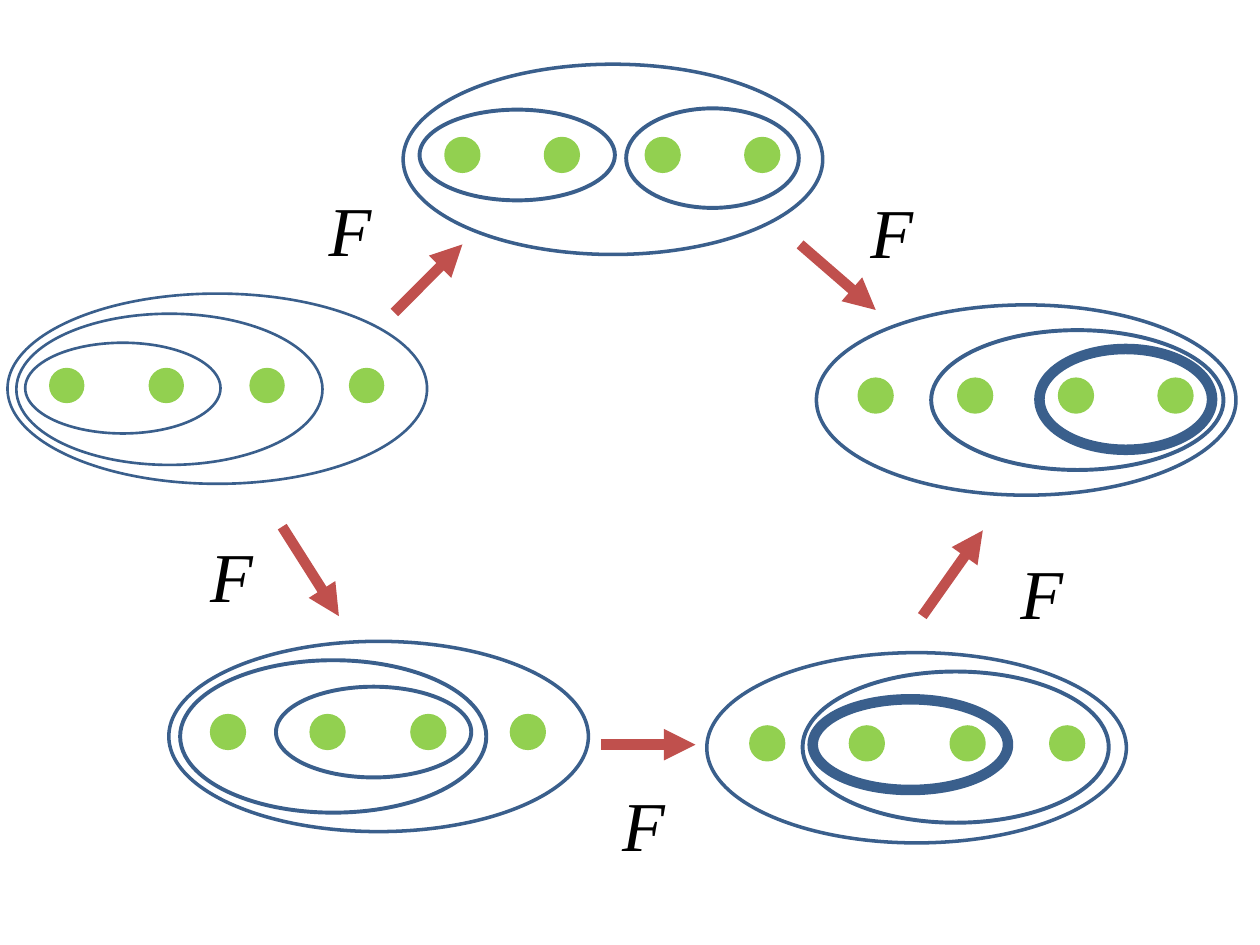
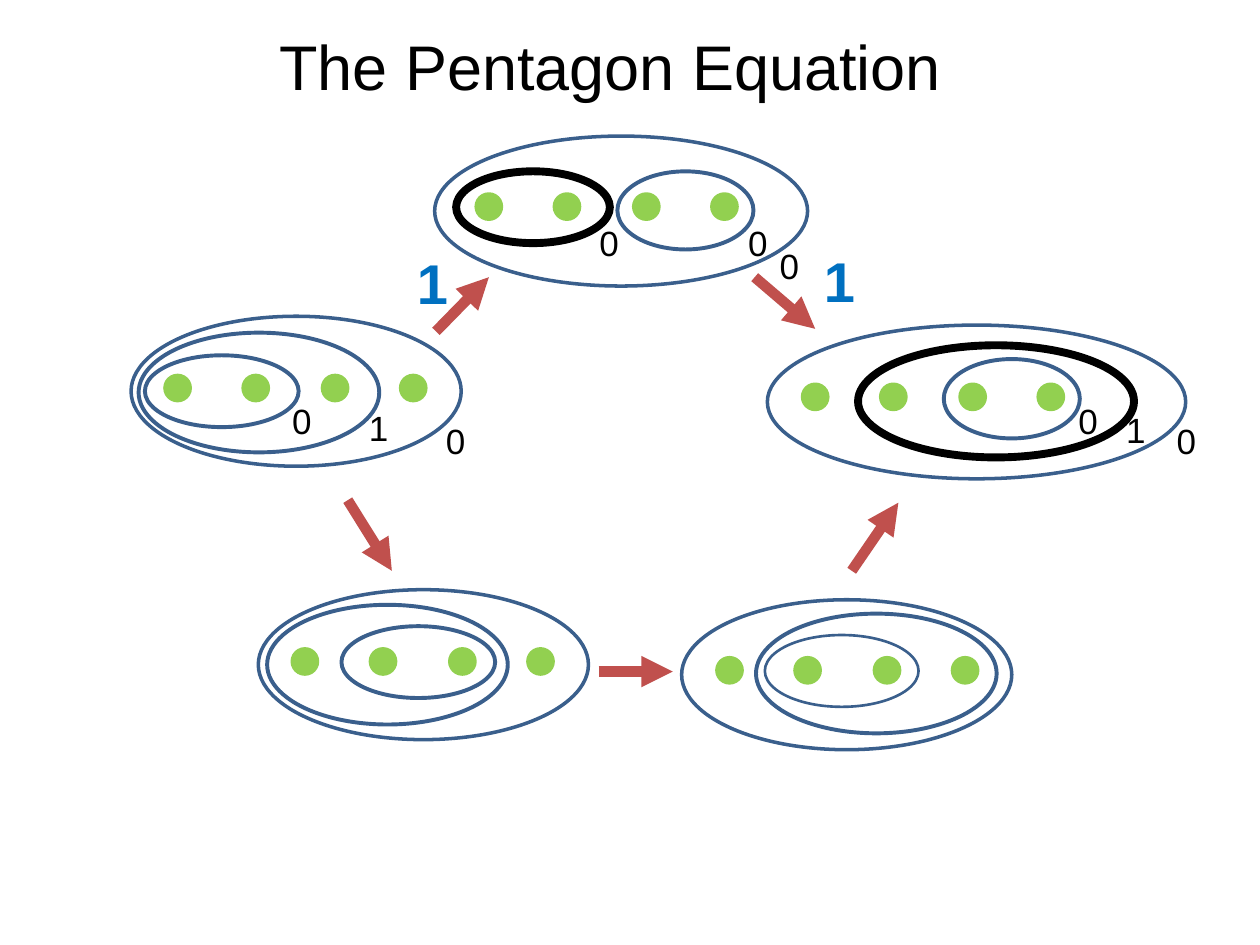
from dataclasses import dataclass

from lxml.etree import SubElement
from pptx import Presentation
from pptx.dml.color import RGBColor
from pptx.enum.shapes import MSO_CONNECTOR, MSO_SHAPE
from pptx.enum.text import MSO_AUTO_SIZE
from pptx.oxml.ns import qn
from pptx.util import Emu, Pt

PX_PER_INCH = 100
RING_BLUE = RGBColor(0x3A, 0x5F, 0x8C)
DOT_GREEN = RGBColor(0x92, 0xD0, 0x50)
ARROW_RED = RGBColor(0xC0, 0x50, 0x4D)
MOVE_BLUE = RGBColor(0x00, 0x70, 0xC0)
BLACK = RGBColor(0x00, 0x00, 0x00)
SANS, SERIF = "Arial", "Times New Roman"
DOTS_PER_TREE = 4


@dataclass
class Ring:
    left: int
    top: int
    width: int
    height: int
    weight: float = 2.25
    color: RGBColor = RING_BLUE


@dataclass
class Tree:
    box: tuple
    first_dot: tuple
    rings: list
    charges: tuple = ()
    weight: float = 2


@dataclass
class DotStyle:
    size: int
    span: int


def px(length):
    return Emu(round(length * 914400 / PX_PER_INCH))


def add_ellipse(shapes, box, weight, line_color, fill_color=None):
    ellipse = shapes.add_shape(MSO_SHAPE.OVAL, *map(px, box))
    ellipse.shadow.inherit = False
    if fill_color is None:
        ellipse.fill.background()
    else:
        ellipse.fill.solid()
        ellipse.fill.fore_color.rgb = fill_color
    ellipse.line.color.rgb = line_color
    ellipse.line.width = Pt(weight)


def add_label(slide, box, text, size, font=SANS, color=BLACK, bold=False, italic=False):
    frame = slide.shapes.add_textbox(*map(px, box)).text_frame
    frame.word_wrap = False
    frame.auto_size = MSO_AUTO_SIZE.SHAPE_TO_FIT_TEXT
    run = frame.paragraphs[0].add_run()
    run.text = text
    run.font.name = font
    run.font.size = Pt(size)
    run.font.color.rgb = color
    run.font.bold = bold
    run.font.italic = italic


def add_arrow(slide, start, end):
    arrow = slide.shapes.add_connector(MSO_CONNECTOR.STRAIGHT, *map(px, start + end))
    arrow.line.color.rgb = ARROW_RED
    arrow.line.width = Pt(6)
    SubElement(arrow.line._get_or_add_ln(), qn("a:tailEnd"), type="triangle")
    SubElement(arrow._element.spPr, qn("a:effectLst"))


def draw_tree(slide, tree, dots):
    left, top, _, _ = tree.box
    shapes = slide.shapes.add_group_shape().shapes
    dot_x, dot_y = tree.first_dot
    for index in range(DOTS_PER_TREE):
        x = left + dot_x + round(index * dots.span / (DOTS_PER_TREE - 1))
        add_ellipse(shapes, (x, top + dot_y, dots.size, dots.size),
                    tree.weight, DOT_GREEN, DOT_GREEN)
    for ring in tree.rings:
        add_ellipse(shapes, (left + ring.left, top + ring.top, ring.width, ring.height),
                    ring.weight, ring.color)
    add_ellipse(shapes, tree.box, tree.weight, RING_BLUE)
    for charge, x, y in tree.charges:
        add_label(slide, (left + x, top + y, 36, 44), charge, 20)


def draw_pentagon(slide, trees, arrows, dots):
    for tree in trees:
        draw_tree(slide, tree, dots)
    for start, end in arrows:
        add_arrow(slide, start, end)


def build_f_moves(slide):
    width, height = 333, 151
    trees = [
        Tree((6, 233, width, height), (34, 60),
             [Ring(14, 39, 155, 72, 1.5), Ring(7, 16, 243, 120, 1.5)], weight=1.5),
        Tree((320, 51, width, height), (34, 59),
             [Ring(13, 36, 155, 72), Ring(177, 35, 137, 79)]),
        Tree((648, 242, width, height), (34, 59),
             [Ring(91, 20, 232, 111), Ring(177, 35, 137, 80, 6)]),
        Tree((134, 509, width, height), (34, 59),
             [Ring(85, 36, 155, 72), Ring(9, 15, 243, 121)]),
        Tree((561, 518, width, height), (35, 59),
             [Ring(84, 37, 155, 72, 6), Ring(76, 15, 243, 120)]),
    ]
    arrows = [
        ((313, 248), (367, 194)),
        ((635, 194), (695, 246)),
        ((224, 418), (269, 489)),
        ((477, 591), (552, 591)),
        ((732, 489), (780, 421)),
    ]
    draw_pentagon(slide, trees, arrows, DotStyle(26, 238))
    for x, y in [(251, 143), (681, 145), (157, 418), (484, 615), (800, 431)]:
        add_label(slide, (x, y, 54, 77), "F", 40, SERIF, italic=True)


def build_pentagon_equation(slide):
    width, height = 262, 119
    trees = [
        Tree((104, 251, width, height), (27, 47),
             [Ring(11, 31, 122, 57), Ring(6, 13, 191, 95)],
             (("0", 118, 61), ("1", 179, 67), ("0", 240, 77))),
        Tree((345, 108, 296, height), (33, 46),
             [Ring(17, 28, 122, 57, 4.5, BLACK), Ring(145, 28, 108, 62)],
             (("0", 121, 63), ("0", 239, 63), ("0", 264, 81))),
        Tree((609, 258, 332, 122), (28, 47),
             [Ring(72, 16, 219, 89, 4.5, BLACK), Ring(140, 27, 108, 63)],
             (("0", 237, 54), ("1", 275, 61), ("0", 315, 70))),
        Tree((205, 468, width, height), (27, 47),
             [Ring(66, 29, 122, 57), Ring(7, 12, 191, 95)]),
        Tree((541, 476, width, height), (28, 46),
             [Ring(66, 28, 122, 57, 1.5), Ring(59, 11, 191, 95)]),
    ]
    arrows = [
        ((346, 263), (388, 220)),
        ((599, 220), (647, 261)),
        ((276, 397), (311, 453)),
        ((475, 533), (534, 533)),
        ((676, 453), (713, 399)),
    ]
    draw_pentagon(slide, trees, arrows, DotStyle(20, 187))
    add_label(slide, (212, 17, 550, 71), "The Pentagon Equation", 36)
    for x, y in [(644, 191), (321, 192)]:
        add_label(slide, (x, y, 45, 64), "1", 32, color=MOVE_BLUE, bold=True)


def main():
    deck = Presentation()
    deck.slide_width, deck.slide_height = px(1000), px(750)
    blank = deck.slide_layouts[6]
    for build in (build_f_moves, build_pentagon_equation):
        build(deck.slides.add_slide(blank))
    deck.save("out.pptx")


if __name__ == "__main__":
    main()
